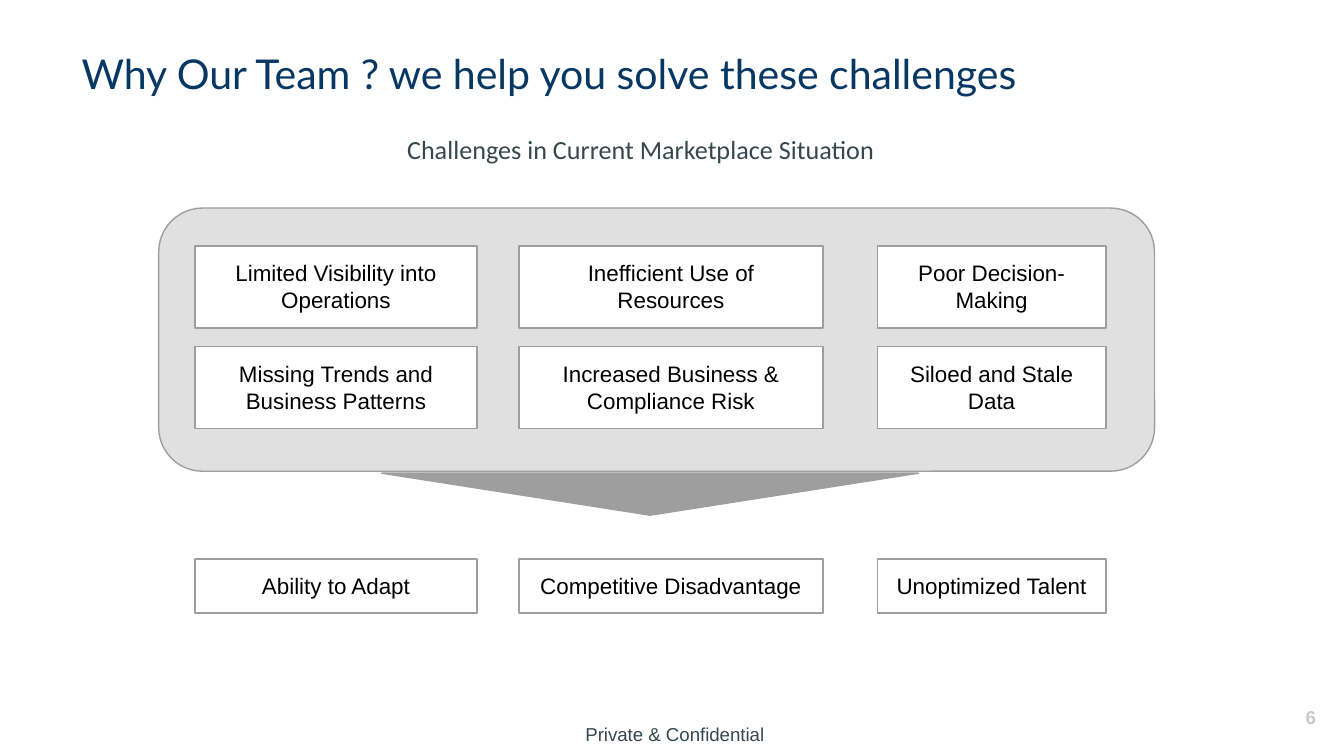
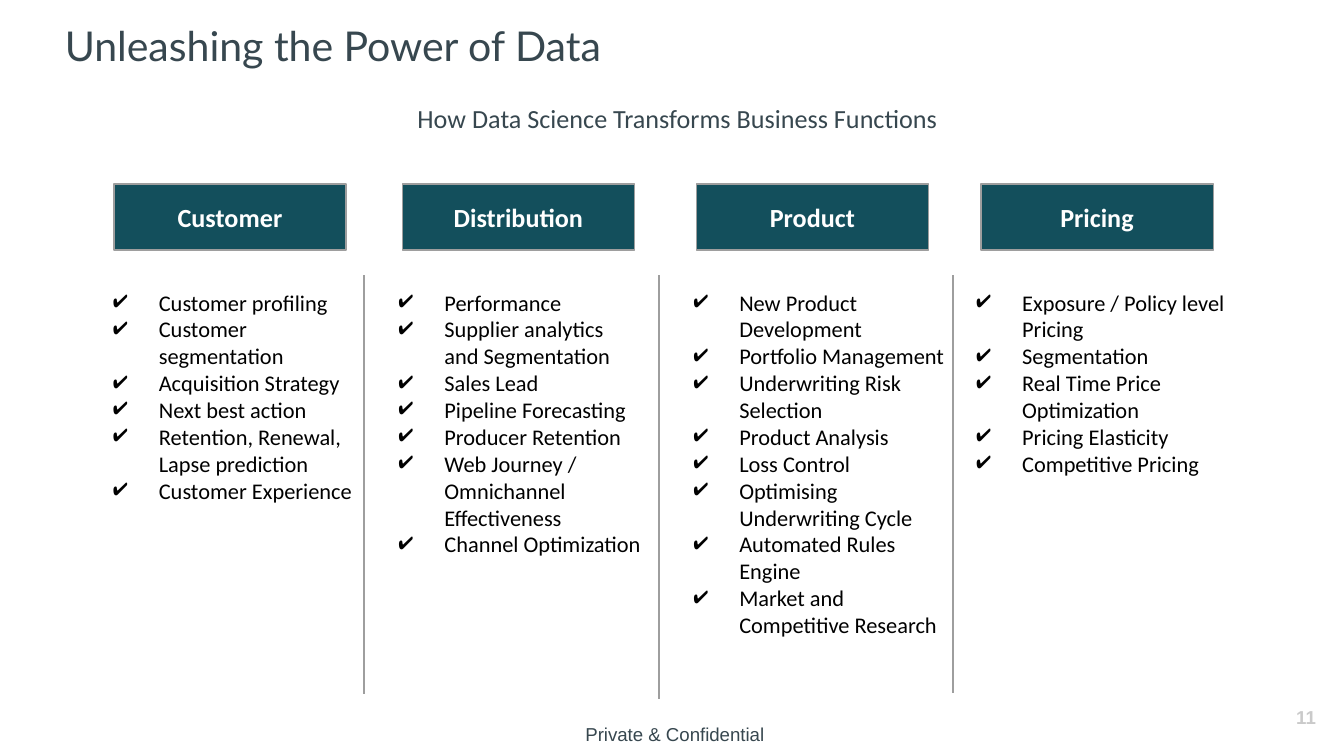
"""Build two slides on market challenges and the uses of data science."""
from lxml.etree import SubElement
from pptx import Presentation
from pptx.dml.color import RGBColor
from pptx.enum.shapes import MSO_CONNECTOR, MSO_SHAPE
from pptx.enum.text import MSO_ANCHOR, MSO_AUTO_SIZE, PP_ALIGN
from pptx.oxml.ns import qn
from pptx.util import Pt

HUES = {
    "navy": "073763", "slate": "37474F", "teal": "134F5C", "gray": "9E9E9E",
    "pale": "E0E0E0", "faint": "CACACA", "white": "FFFFFF", "black": "000000",
}
LEFT, MID, RIGHT = PP_ALIGN.LEFT, PP_ALIGN.CENTER, PP_ALIGN.RIGHT
TOP, CORE = MSO_ANCHOR.TOP, MSO_ANCHOR.MIDDLE

SPANS = [(104.5, 151), (278, 163), (470, 122.5)]
ROWS = [
    (131.75, 44, "white", ["Limited Visibility into Operations",
                           "Inefficient Use of Resources", "Poor Decision-Making"]),
    (185.75, 44, "white", ["Missing Trends and Business Patterns",
                           "Increased Business & Compliance Risk",
                           "Siloed and Stale Data"]),
    (299.5, 29, None, ["Ability to Adapt", "Competitive Disadvantage",
                       "Unoptimized Talent"]),
]
TEAMS = [
    ("Customer", 61, 42, 157,
     ["Customer profiling", "Customer segmentation", "Acquisition Strategy",
      "Next best action", "Retention, Renewal, Lapse prediction",
      "Customer Experience"]),
    ("Distribution", 215.5, 195, 156,
     ["Performance", "Supplier analytics and Segmentation", "Sales Lead",
      "Pipeline Forecasting", "Producer Retention",
      "Web Journey / Omnichannel Effectiveness", "Channel Optimization"]),
    ("Product", 373, 353, 164,
     ["New Product Development", "Portfolio Management",
      "Underwriting Risk Selection", "Product Analysis", "Loss Control",
      "Optimising Underwriting Cycle", "Automated Rules Engine",
      "Market and Competitive Research"]),
    ("Pricing", 525.5, 504.5, 168,
     ["Exposure / Policy level Pricing", "Segmentation",
      "Real Time Price Optimization", "Pricing Elasticity",
      "Competitive Pricing"]),
]
RULES = [(195, 372), (353, 374.5), (510.5, 371.5)]


def tint(name):
    return RGBColor.from_string(HUES[name])


def mark(para):
    props = para._p.get_or_add_pPr()
    props.set("marL", str(Pt(36)))
    props.set("indent", str(-Pt(24.5)))
    hue = SubElement(props, qn("a:buClr"))
    SubElement(hue, qn("a:srgbClr"), val=HUES["black"])
    SubElement(props, qn("a:buChar"), char="✔")


def write(shape, lines, face, size, hue, align=LEFT, anchor=TOP, bold=False, ticks=False):
    frame = shape.text_frame
    frame.word_wrap = True
    frame.auto_size = MSO_AUTO_SIZE.NONE
    frame.vertical_anchor = anchor
    frame.margin_left = frame.margin_right = Pt(7.2)
    frame.margin_top = frame.margin_bottom = Pt(7.2)
    frame.text = "\n".join(lines)
    for para in frame.paragraphs:
        if ticks:
            mark(para)
        para.alignment = align
        font = para.font
        font.name, font.size, font.bold = face, Pt(size), bold
        font.color.rgb = tint(hue)


def label(slide, area, lines, *style, **more):
    box = slide.shapes.add_textbox(*map(Pt, area))
    write(box, lines, *style, **more)


def block(slide, kind, area, fill):
    shape = slide.shapes.add_shape(kind, *map(Pt, area))
    shape.shadow.inherit = False
    if fill:
        shape.fill.solid()
        shape.fill.fore_color.rgb = tint(fill)
    else:
        shape.fill.background()
    shape.line.color.rgb = tint("gray")
    shape.line.width = Pt(0.75)
    return shape


def rule(slide, left, top, end):
    line = slide.shapes.add_connector(
        MSO_CONNECTOR.STRAIGHT, Pt(left), Pt(top), Pt(left), Pt(end))
    line.line.color.rgb = tint("gray")
    line.line.width = Pt(0.75)
    SubElement(line._element.spPr, qn("a:effectLst"))


def start(deck, title, area, hue, page):
    slide = deck.slides.add_slide(deck.slide_layouts[5])
    head = slide.shapes.title
    head.left, head.top, head.width, head.height = map(Pt, area)
    write(head, [title], "Lato", 22, hue)
    label(slide, (669, 368.5, 43, 31), [page], "Arial", 10, "faint",
          RIGHT, CORE, bold=True)
    label(slide, (286, 380, 151, 20), ["Private & Confidential"],
          "Arial", 10, "slate", MID)
    return slide


def issues(deck):
    slide = start(deck, "Why Our Team ? we help you solve these challenges",
                  (36.5, 18.5, 584.5, 45.5), "navy", "6")
    label(slide, (211, 64, 299, 45.5), ["Challenges in Current Marketplace Situation"],
          "Calibri", 14, "slate")
    block(slide, MSO_SHAPE.ROUNDED_RECTANGLE, (85, 111.5, 533.5, 141), "pale")
    for top, high, fill, names in ROWS:
        for (left, wide), name in zip(SPANS, names):
            box = block(slide, MSO_SHAPE.RECTANGLE, (left, top, wide, high), fill)
            write(box, [name], "Arial", 12, "black", MID)
    arrow = block(slide, MSO_SHAPE.ISOSCELES_TRIANGLE, (204.5, 253.5, 287.5, 22.5), "gray")
    arrow.rotation = 180


def uses(deck):
    slide = start(deck, "Unleashing the Power of Data",
                  (27.5, 3.5, 641, 41), "slate", "11")
    label(slide, (150.5, 47.5, 425, 31.5),
          ["How Data Science Transforms Business Functions"], "Calibri", 14, "slate", MID)
    for name, left, edge, wide, items in TEAMS:
        box = block(slide, MSO_SHAPE.RECTANGLE, (left, 98.5, 124.5, 35.5), "teal")
        write(box, [name], "Calibri", 14, "white", MID, CORE, bold=True)
        label(slide, (edge, 147.5, wide, 213), items, "Calibri", 12, "black", ticks=True)
    for left, end in RULES:
        rule(slide, left, 147.5, end)


def main():
    deck = Presentation()
    deck.slide_width, deck.slide_height = Pt(720), Pt(405)
    issues(deck)
    uses(deck)
    deck.save("out.pptx")


if __name__ == "__main__":
    main()
